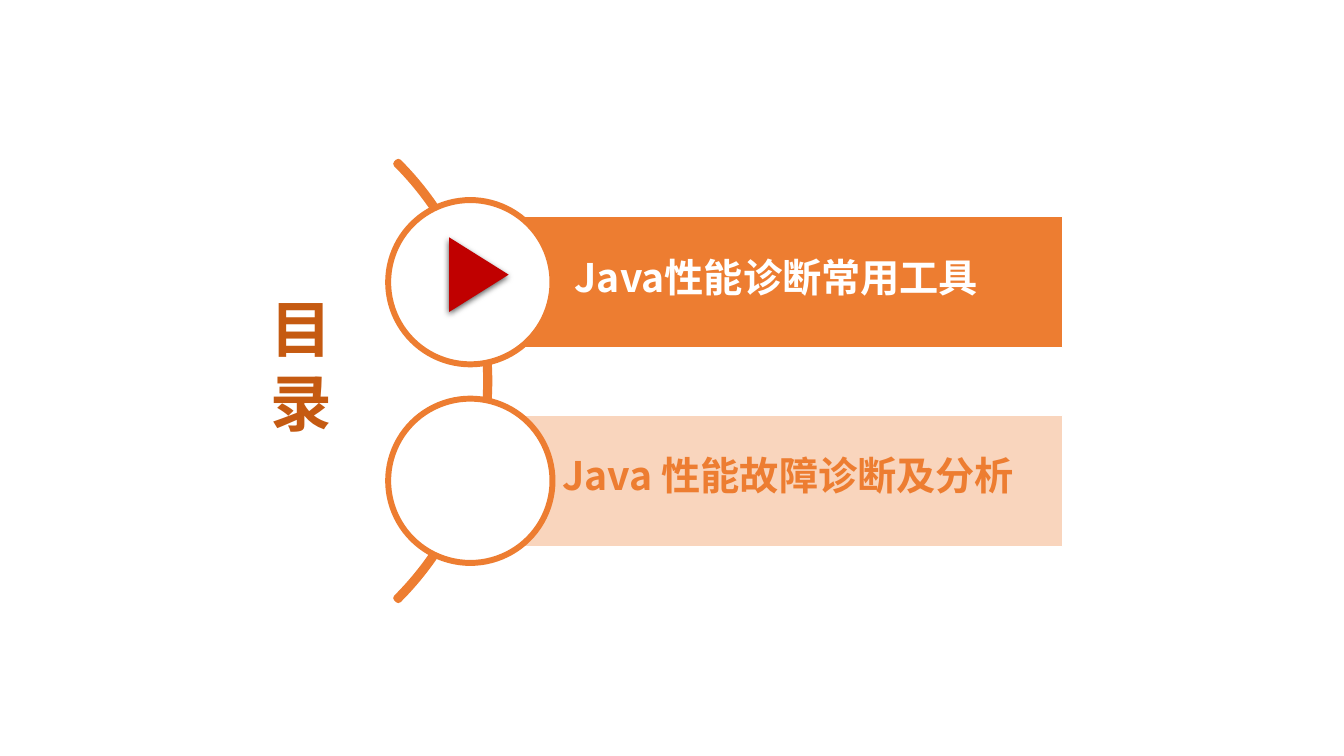
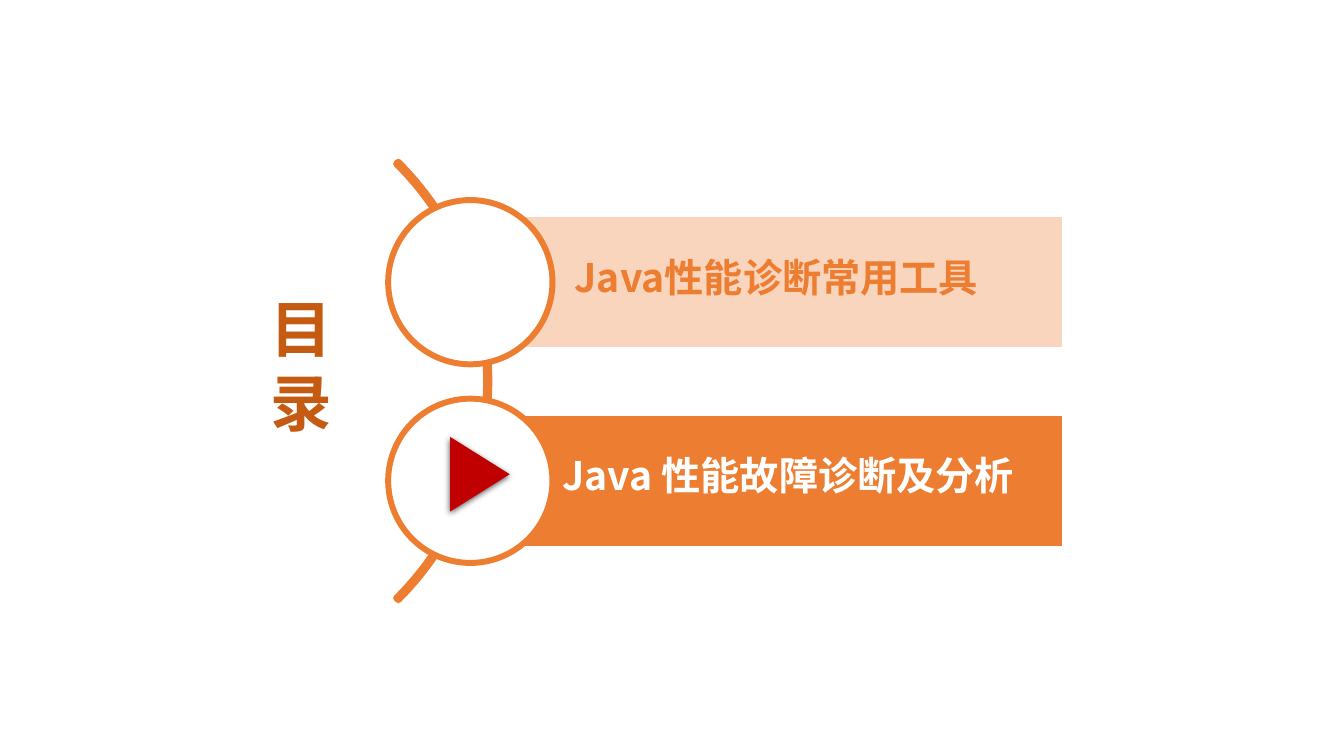
import dataclasses

import lxml.etree
import pptx
import pptx.dml.color
import pptx.enum.shapes
import pptx.enum.text
import pptx.oxml.ns
import pptx.util

SHAPE = pptx.enum.shapes.MSO_SHAPE
ANCHOR = pptx.enum.text.MSO_ANCHOR
ALIGN = pptx.enum.text.PP_ALIGN


@dataclasses.dataclass(frozen=True)
class Theme:
    font: str = "Noto Sans CJK SC"
    orange: str = "ED7D31"
    pale_orange: str = "F9D5BD"
    dark_orange: str = "C55A11"
    red: str = "C00000"
    white: str = "FFFFFF"
    black: str = "000000"
    title_size: float = 44
    title_leading: float = 53
    topic_size: float = 28
    topic_leading: float = 0.9
    arc_line: float = 4.75
    circle_line: float = 4.25
    bar_line: float = 1


@dataclasses.dataclass(frozen=True)
class Topic:
    text: str
    indent: float
    marker_left: float
    marker_top: float


THEME = Theme()
GRID_ROWS = 75
FIRST_BAR_TOP = 21.5
BAR_PITCH = 19.7
BAR_HEIGHT = 13
CIRCLE_SIZE = 16.3
TOPICS = [
    Topic("Java性能诊断常用工具", 10.3, 43.8, 24.3),
    Topic("Java 性能故障诊断及分析", 9.1, 43.9, 44.1),
]


def color(code):
    return pptx.dml.color.RGBColor.from_string(code)


def write(frame, text, size, fill, leading, align=ALIGN.LEFT):
    para = frame.paragraphs[0]
    para.alignment = align
    para.line_spacing = leading
    para.space_before = pptx.util.Pt(0)
    span = para.add_run()
    span.text = text
    span.font.size = pptx.util.Pt(size)
    span.font.bold = True
    span.font.color.rgb = color(fill)
    span.font.name = THEME.font
    east_asian = lxml.etree.SubElement(span.font._element, pptx.oxml.ns.qn("a:ea"))
    east_asian.set("typeface", THEME.font)


class AgendaDeck:
    def __init__(self):
        self.deck = pptx.Presentation()
        self.deck.slide_width = pptx.util.Inches(13.33)
        self.deck.slide_height = pptx.util.Inches(7.5)
        self.cell = self.deck.slide_height / GRID_ROWS
        self.page = None

    def cells(self, count):
        return pptx.util.Emu(round(count * self.cell))

    def add_page(self):
        self.page = self.deck.slides.add_slide(self.deck.slide_layouts[5])

    def add_title(self, text):
        title = self.page.shapes.title
        title.left, title.top = self.cells(25.8), self.cells(28.3)
        title.width, title.height = self.cells(11.2), self.cells(15.8)
        frame = title.text_frame
        frame.word_wrap = True
        frame.auto_size = pptx.enum.text.MSO_AUTO_SIZE.NONE
        frame.vertical_anchor = ANCHOR.TOP
        write(frame, text, THEME.title_size, THEME.dark_orange,
              pptx.util.Pt(THEME.title_leading))

    def add_shape(self, kind, left, top, width, height, fill, line=None, weight=0):
        shape = self.page.shapes.add_shape(
            kind, *(self.cells(count) for count in (left, top, width, height)))
        shape.shadow.inherit = False
        shape.fill.solid()
        shape.fill.fore_color.rgb = color(fill)
        if line:
            shape.line.color.rgb = color(line)
            shape.line.width = pptx.util.Pt(weight)
        else:
            shape.line.fill.background()
        return shape

    def add_arc(self):
        arc = self.add_shape(SHAPE.BLOCK_ARC, -12.9, 7.1, 61.4, 61.4,
                             THEME.orange, THEME.orange, THEME.arc_line)
        for index, value in enumerate((189, 27, 0.004)):
            arc.adjustments[index] = value

    def add_bar(self, topic, top, active):
        fill = THEME.orange if active else THEME.pale_orange
        ink = THEME.white if active else THEME.orange
        bar = self.add_shape(SHAPE.RECTANGLE, 46.7, top, 58.7, BAR_HEIGHT,
                             fill, THEME.white, THEME.bar_line)
        frame = bar.text_frame
        frame.word_wrap = True
        frame.vertical_anchor = ANCHOR.MIDDLE
        frame.margin_left = self.cells(topic.indent)
        frame.margin_right = frame.margin_top = self.cells(0.8)
        frame.margin_bottom = self.cells(1.3)
        write(frame, topic.text, THEME.topic_size, ink, THEME.topic_leading)

    def add_circle(self, bar_top):
        top = bar_top + (BAR_HEIGHT - CIRCLE_SIZE) / 2
        self.add_shape(SHAPE.OVAL, 38.5, top, CIRCLE_SIZE, CIRCLE_SIZE,
                       THEME.white, THEME.orange, THEME.circle_line)

    def add_marker(self, topic):
        marker = self.add_shape(SHAPE.ISOSCELES_TRIANGLE, topic.marker_left,
                                topic.marker_top, 7.4, 5.9, THEME.red)
        marker.rotation = 90
        qn = pptx.oxml.ns.qn
        effects = marker._element.spPr.find(qn("a:effectLst"))
        shadow = lxml.etree.SubElement(
            effects, qn("a:outerShdw"), blurRad=str(pptx.util.Pt(4.5)),
            dist=str(pptx.util.Pt(1.5)), dir="5400000", rotWithShape="0")
        tint = lxml.etree.SubElement(shadow, qn("a:srgbClr"), val=THEME.black)
        lxml.etree.SubElement(tint, qn("a:alpha"), val="63000")

    def add_agenda(self, current):
        self.add_page()
        self.add_title("目录")
        self.add_arc()
        for index, topic in enumerate(TOPICS):
            top = FIRST_BAR_TOP + index * BAR_PITCH
            self.add_bar(topic, top, topic is current)
            self.add_circle(top)
        self.add_marker(current)


def main():
    agenda = AgendaDeck()
    for topic in TOPICS:
        agenda.add_agenda(topic)
    agenda.deck.save("out.pptx")


if __name__ == "__main__":
    main()
